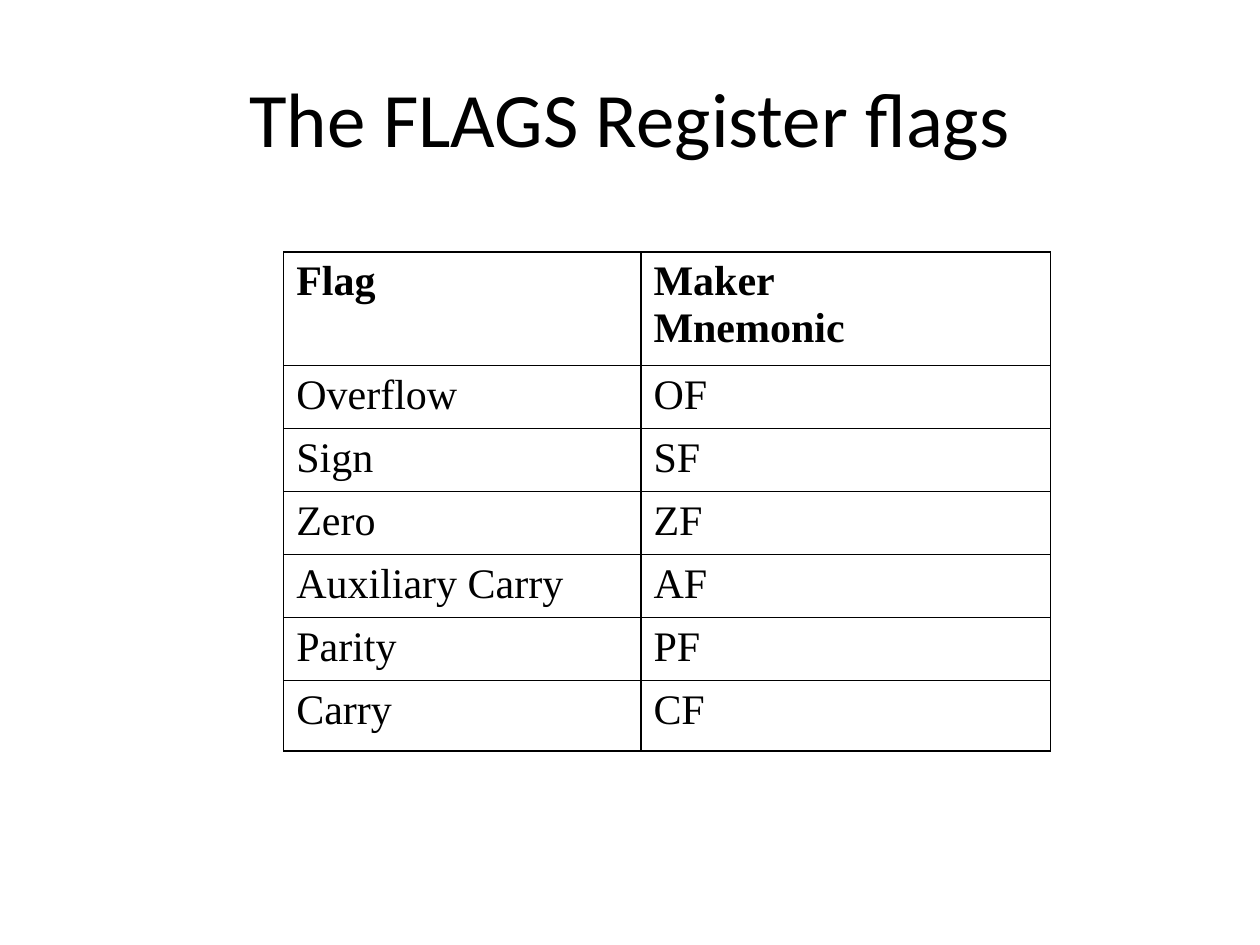
from dataclasses import dataclass

from lxml import etree
from pptx import Presentation
from pptx import util as u
from pptx.dml.color import RGBColor
from pptx.enum import text
from pptx.oxml import ns


@dataclass(frozen=True)
class Theme:
    ink: str = "000000"
    title_font: str = "Calibri"
    body_font: str = "Times New Roman"
    title_size: int = 44
    body_size: int = 24
    border: float = 0.96
    hanging: float = 0.95


def write(tf, content, font, size, color, bold=False, align=None, hanging=0):
    for i, line in enumerate(content.split("\n")):
        p = tf.paragraphs[0] if i == 0 else tf.add_paragraph()
        p.alignment = align
        if hanging:
            pPr = p._p.get_or_add_pPr()
            pPr.set("marL", str(u.Cm(hanging)))
            pPr.set("indent", str(-u.Cm(hanging)))
        r = p.add_run()
        r.text = line
        r.font.name, r.font.size, r.font.bold = font, u.Pt(size), bold
        r.font.color.rgb = RGBColor.from_string(color)


class Deck:
    def __init__(self, theme):
        self.theme = theme
        self.prs = Presentation()
        self.prs.slide_width, self.prs.slide_height = u.Cm(25.4), u.Cm(19.05)
        self.s = self.prs.slides.add_slide(self.prs.slide_layouts[6])

    def title(self, content, left, top, width, height):
        t = self.theme
        sp = self.s.shapes.add_textbox(*map(u.Cm, (left, top, width, height)))
        tf = sp.text_frame
        tf.word_wrap = True
        tf.vertical_anchor = text.MSO_ANCHOR.MIDDLE
        write(tf, content, t.title_font, t.title_size, t.ink,
              align=text.PP_ALIGN.CENTER)

    def table(self, rows, left, top, widths, heights):
        t = self.theme
        sp = self.s.shapes.add_table(
            len(rows), len(widths),
            *map(u.Cm, (left, top, sum(widths), sum(heights))))
        tbl = sp.table
        tbl.first_row = tbl.horz_banding = False
        for col, width in zip(tbl.columns, widths):
            col.width = u.Cm(width)
        for i, (values, height) in enumerate(zip(rows, heights)):
            tbl.rows[i].height = u.Cm(height)
            for j, value in enumerate(values):
                cell = tbl.cell(i, j)
                write(cell.text_frame, value, t.body_font, t.body_size, t.ink,
                      bold=i == 0, hanging=t.hanging)
                self.borders(cell)
                cell.fill.background()

    def borders(self, cell):
        tcPr = cell._tc.get_or_add_tcPr()
        for side in ("L", "R", "T", "B"):
            ln = etree.SubElement(tcPr, ns.qn(f"a:ln{side}"),
                                  w=str(u.Pt(self.theme.border)))
            fill = etree.SubElement(ln, ns.qn("a:solidFill"))
            etree.SubElement(fill, ns.qn("a:srgbClr"), val=self.theme.ink)


def main():
    deck = Deck(Theme())
    deck.title("The FLAGS Register flags", 1.27, 0.76, 22.86, 3.18)
    flags = [
        ("Flag", "Maker\nMnemonic"),
        ("Overflow", "OF"),
        ("Sign", "SF"),
        ("Zero", "ZF"),
        ("Auxiliary Carry", "AF"),
        ("Parity", "PF"),
        ("Carry", "CF"),
    ]
    heights = [2.13] + [1.19] * (len(flags) - 2) + [1.42]
    deck.table(flags, 5.72, 5.08, [7.2, 8.26], heights)
    deck.prs.save("out.pptx")


if __name__ == "__main__":
    main()
